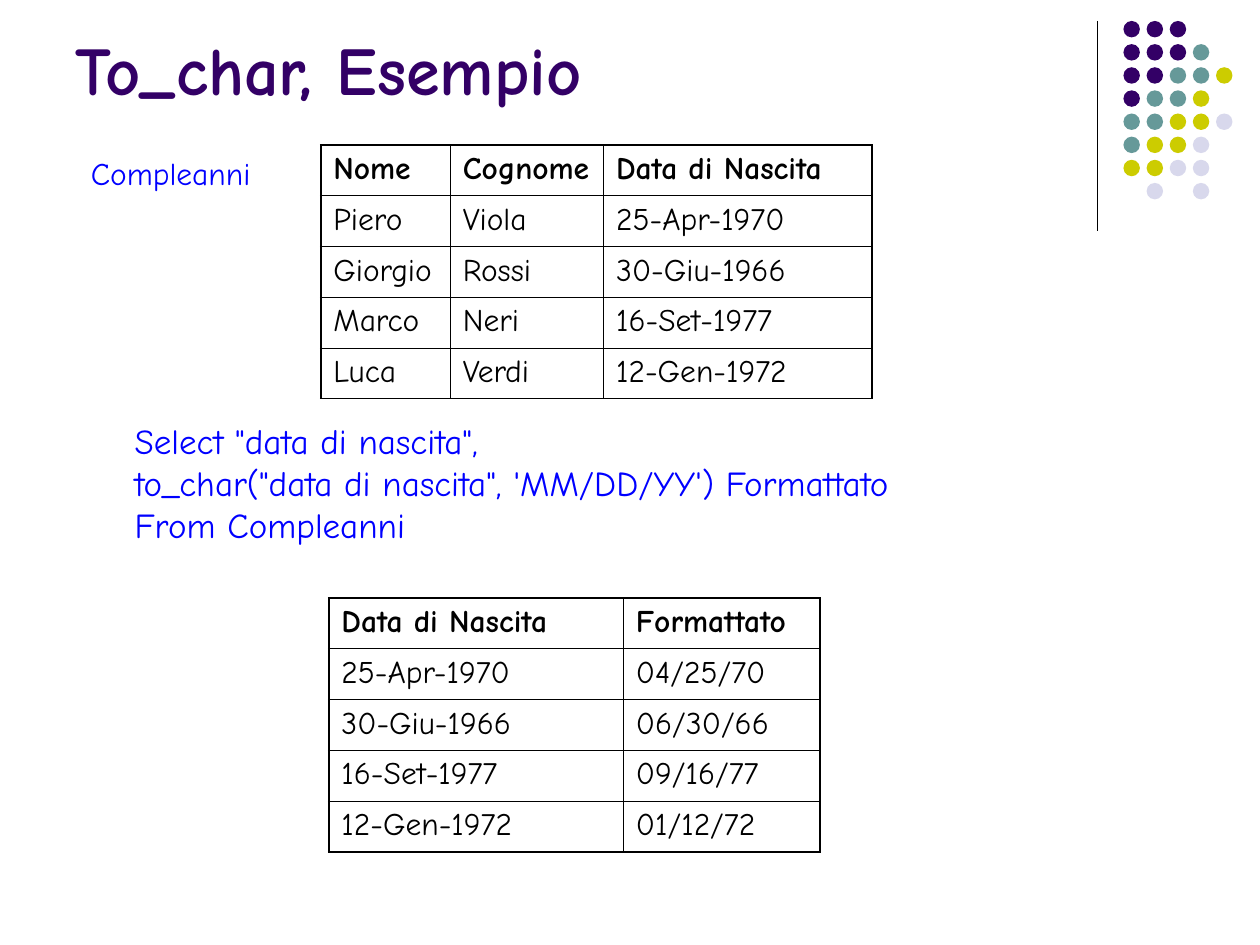
from lxml import etree
from pptx import Presentation
from pptx.dml.color import RGBColor
from pptx.enum.shapes import MSO_CONNECTOR, MSO_SHAPE
from pptx.enum.text import MSO_ANCHOR, MSO_AUTO_SIZE
from pptx.oxml.ns import qn
from pptx.util import Pt

OVAL = MSO_SHAPE.OVAL
STRAIGHT = MSO_CONNECTOR.STRAIGHT
TOP, BOTTOM = MSO_ANCHOR.TOP, MSO_ANCHOR.BOTTOM
FIT_NONE = MSO_AUTO_SIZE.NONE

FONT = "Comic Neue"
BLACK, PURPLE, BLUE = "000000", "330066", "0000FF"

TITLE = ["To_char, Esempio"]
TABLE_NAME = ["Compleanni"]
QUERY = [
    'Select "data di nascita",',
    "to_char(\"data di nascita\", 'MM/DD/YY') Formattato",
    "From Compleanni",
]
BIRTHDAYS = [
    ("Nome", "Cognome", "Data di Nascita"),
    ("Piero", "Viola", "25-Apr-1970"),
    ("Giorgio", "Rossi", "30-Giu-1966"),
    ("Marco", "Neri", "16-Set-1977"),
    ("Luca", "Verdi", "12-Gen-1972"),
]
RESULT = [
    ("Data di Nascita", "Formattato"),
    ("25-Apr-1970", "04/25/70"),
    ("30-Giu-1966", "06/30/66"),
    ("16-Set-1977", "09/16/77"),
    ("12-Gen-1972", "01/12/72"),
]

DOT_ROWS = ["PPP", "PPPT", "PPTTY", "PTTY", "TTYYL", "TYYL", "YYLL", " L L"]
DOT_COLORS = {"P": PURPLE, "T": "669999", "Y": "CCCC00", "L": "D8D8EC"}
DOT_LEFT, DOT_TOP, DOT_SIZE, DOT_PITCH = 642, 12, 9.4, 13.22

ROW_HEIGHT = 29
OUTER_BORDER, INNER_BORDER = 1.08, 0.45


def color(value):
    return RGBColor.from_string(value)


def add_run(paragraph, text, size, text_color, bold=False):
    run = paragraph.add_run()
    run.text = text
    run.font.name = FONT
    run.font.size = Pt(size)
    run.font.bold = bold
    run.font.color.rgb = color(text_color)


def add_text(slide, lines, box, size, text_color, bold=False, anchor=TOP):
    shape = slide.shapes.add_textbox(*map(Pt, box))
    frame = shape.text_frame
    frame.word_wrap = True
    frame.auto_size = FIT_NONE
    frame.vertical_anchor = anchor
    for index, line in enumerate(lines):
        paragraph = frame.add_paragraph() if index else frame.paragraphs[0]
        add_run(paragraph, line, size, text_color, bold)


def add_border(cell, side, width):
    properties = cell._tc.get_or_add_tcPr()
    line = etree.SubElement(properties, qn(f"a:ln{side}"), w=str(Pt(width)))
    fill = etree.SubElement(line, qn("a:solidFill"))
    etree.SubElement(fill, qn("a:srgbClr"), val=BLACK)


def add_grid(slide, rows, left, top, widths):
    last_row, last_column = len(rows) - 1, len(widths) - 1
    table = slide.shapes.add_table(
        len(rows), len(widths), Pt(left), Pt(top),
        Pt(sum(widths)), Pt(ROW_HEIGHT * len(rows))).table
    table.first_row = False
    table.horz_banding = False
    for column, width in zip(table.columns, widths):
        column.width = Pt(width)
    for r, values in enumerate(rows):
        table.rows[r].height = Pt(ROW_HEIGHT)
        for c, value in enumerate(values):
            cell = table.cell(r, c)
            outer_sides = {"L": c == 0, "R": c == last_column,
                           "T": r == 0, "B": r == last_row}
            for side, outer in outer_sides.items():
                add_border(cell, side, OUTER_BORDER if outer else INNER_BORDER)
            cell.fill.background()
            add_run(cell.text_frame.paragraphs[0], value, 18, BLACK, r == 0)


def add_decoration(slide):
    rule = slide.shapes.add_connector(
        STRAIGHT, Pt(627), Pt(12), Pt(627), Pt(132))
    rule.line.color.rgb = color(BLACK)
    rule.line.width = Pt(0.75)
    etree.SubElement(rule._element.spPr, qn("a:effectLst"))
    group = slide.shapes.add_group_shape()
    for r, keys in enumerate(DOT_ROWS):
        for c, key in enumerate(keys):
            if key not in DOT_COLORS:
                continue
            dot = group.shapes.add_shape(
                OVAL, Pt(DOT_LEFT + c * DOT_PITCH), Pt(DOT_TOP + r * DOT_PITCH),
                Pt(DOT_SIZE), Pt(DOT_SIZE))
            dot.shadow.inherit = False
            dot.fill.solid()
            dot.fill.fore_color.rgb = color(DOT_COLORS[key])
            dot.line.fill.background()


def main():
    presentation = Presentation()
    presentation.slide_width, presentation.slide_height = Pt(720), Pt(540)
    slide = presentation.slides.add_slide(presentation.slide_layouts[6])
    add_decoration(slide)
    add_text(slide, TITLE, (36, -36, 594, 102), 39, PURPLE, True, BOTTOM)
    add_text(slide, QUERY, (69.8, 236.3, 456, 79.2), 20, BLUE)
    add_grid(slide, BIRTHDAYS, 183.3, 82.8, [74, 87.6, 153.4])
    add_text(slide, TABLE_NAME, (44.8, 84.4, 112, 28.8), 18, BLUE)
    add_grid(slide, RESULT, 187.9, 341.7, [168.3, 112.4])
    presentation.save("out.pptx")


if __name__ == "__main__":
    main()
